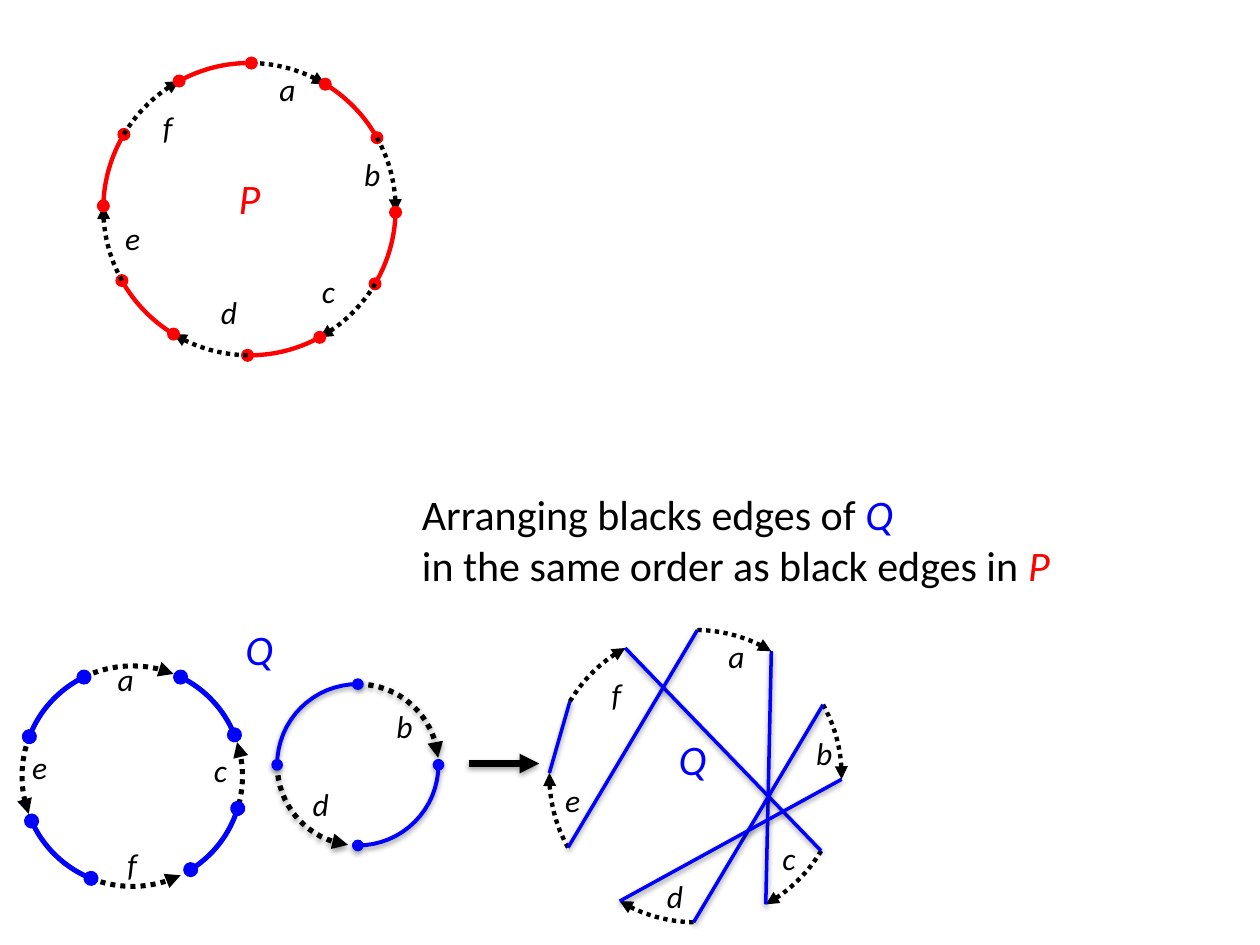
import math
from dataclasses import dataclass

import lxml.etree
import pptx
import pptx.dml.color
import pptx.enum.dml
import pptx.enum.shapes
import pptx.enum.text
import pptx.oxml.ns
import pptx.util

COLORS = {"black": "000000", "red": "FF0000", "blue": "0000FF"}
FONT = "Calibri"
WIDTH, HEIGHT = pptx.util.Inches(10), pptx.util.Inches(7.5)
UNIT = WIDTH / 100
LETTERS = "abcdef"
STEP, SWEEP = 60, 30.5


@dataclass
class Box:
    """A rectangle measured in hundredths of the slide width."""
    left: float
    top: float
    width: float
    height: float

    def at(self, across, down):
        """Return the position at shares of the box."""
        return (int((self.left + across * self.width) * UNIT),
                int((self.top + down * self.height) * UNIT))

    def on_circle(self, angle):
        """Return the position at a clockwise angle from the top."""
        turn = math.radians(angle)
        return self.at(0.5 + math.sin(turn) / 2, 0.5 - math.cos(turn) / 2)


def rgb(name):
    """Return a named colour."""
    return pptx.dml.color.RGBColor.from_string(COLORS[name])


def add_xml(parent, tag, **attributes):
    """Append a drawing element to its parent."""
    return lxml.etree.SubElement(parent, pptx.oxml.ns.qn(f"a:{tag}"), **attributes)


def style_line(shape, color="black", weight=2.5, dotted=False, head=None,
               tail=None, shadow=False):
    """Set the stroke, line ends and shadow of a shape."""
    line = shape.line
    line.color.rgb = rgb(color)
    line.width = pptx.util.Pt(weight)
    if dotted:
        line.dash_style = pptx.enum.dml.MSO_LINE.ROUND_DOT
    properties = shape._element.spPr
    stroke = properties.find(pptx.oxml.ns.qn("a:ln"))
    for tag, end in (("headEnd", head), ("tailEnd", tail)):
        if end:
            add_xml(stroke, tag, type=end)
    effects = add_xml(properties, "effectLst")
    if shadow:
        outer = add_xml(effects, "outerShdw", blurRad="40000", dist="20000",
                        dir="5400000", rotWithShape="0")
        shade = add_xml(outer, "srgbClr", val=COLORS["black"])
        add_xml(shade, "alpha", val="38000")


def add_arc(page, box, start, end, **style):
    """Draw an arc of the circle inscribed in a box."""
    steps = 16
    points = [box.on_circle(start + (end - start) * step / steps)
              for step in range(steps + 1)]
    builder = page.shapes.build_freeform(*points[0])
    builder.add_line_segments(points[1:], close=False)
    arc = builder.convert_to_shape()
    arc.fill.background()
    style_line(arc, **style)


def add_black_edge(page, box, start, end, **style):
    """Draw a dotted arc with an arrowhead."""
    add_arc(page, box, start, end, dotted=True, tail="triangle", **style)


def add_colored_edge(page, box, start, end, **style):
    """Draw a solid arc with a dot at each end."""
    add_arc(page, box, start, end, head="oval", tail="oval", **style)


def add_line(page, start, end, **style):
    """Draw a straight line with a shadow."""
    line = page.shapes.add_connector(
        pptx.enum.shapes.MSO_CONNECTOR.STRAIGHT, *start, *end)
    style_line(line, shadow=True, **style)


def write_text(para, text, size=18, color="black", italic=True):
    """Add a formatted span to a paragraph."""
    span = para.add_run()
    span.text = text
    span.font.name = FONT
    span.font.size = pptx.util.Pt(size)
    span.font.italic = italic
    span.font.color.rgb = rgb(color)


def add_label(page, box, text, across, down, **format):
    """Centre a letter on a position given as shares of a box."""
    side = pptx.util.Inches(0.4)
    x, y = box.at(across, down)
    label = page.shapes.add_textbox(x - side // 2, y - side // 2, side, side)
    frame = label.text_frame
    frame.word_wrap = False
    frame.vertical_anchor = pptx.enum.text.MSO_ANCHOR.MIDDLE
    frame.margin_left = frame.margin_right = 0
    frame.margin_top = frame.margin_bottom = 0
    para = frame.paragraphs[0]
    para.alignment = pptx.enum.text.PP_ALIGN.CENTER
    write_text(para, text, **format)


def add_labels(page, box, places):
    """Place one letter for each named position."""
    for text, (across, down) in places.items():
        add_label(page, box, text, across, down)


def edge_angles(letter):
    """Return the start and end angles of a black edge."""
    start = LETTERS.index(letter) * STEP + 0.75
    return start, start + SWEEP


def draw_genome_p(page, box):
    """Draw the alternating cycle of P."""
    for letter in LETTERS:
        start, end = edge_angles(letter)
        add_black_edge(page, box, start, end)
        add_colored_edge(page, box, end, start + STEP, color="red")
    add_labels(page, box, {
        "a": (0.63, 0.09), "b": (0.92, 0.38), "c": (0.77, 0.78),
        "d": (0.43, 0.85), "e": (0.1, 0.6), "f": (0.22, 0.22)})
    add_label(page, box, "P", 0.5, 0.46, size=24, color="red")


def draw_large_cycle(page, box):
    """Draw the four-edge cycle of Q."""
    for start, end in ((334, 382), (291, 250), (202, 154), (110, 72)):
        add_black_edge(page, box, start, end, weight=2.9)
    for start, end in ((26, 68), (107, 148), (202, 246), (291, 334)):
        add_colored_edge(page, box, start, end, color="blue", weight=2.9)
    add_labels(page, box, {
        "a": (0.47, 0.06), "c": (0.9, 0.47), "e": (0.08, 0.46), "f": (0.5, 0.9)})


def draw_small_cycle(page, box):
    """Draw the two-edge cycle of Q and its name."""
    for start, end in ((0, 85), (270, 187)):
        add_black_edge(page, box, start, end, weight=3, shadow=True)
    for start, end in ((270, 360), (90, 180)):
        add_colored_edge(page, box, start, end, color="blue", weight=2.25,
                         shadow=True)
    add_labels(page, box, {"b": (0.79, 0.26), "d": (0.27, 0.74)})
    add_label(page, box, "Q", -0.11, -0.22, size=24, color="blue")


def draw_rearranged_q(page, box):
    """Draw the black edges of Q in the order of P, joined by blue chords."""
    for letter in LETTERS:
        add_black_edge(page, box, *edge_angles(letter))
    add_labels(page, box, {
        "a": (0.64, 0.09), "b": (0.94, 0.42), "c": (0.82, 0.78),
        "d": (0.43, 0.91), "e": (0.08, 0.58), "f": (0.23, 0.22)})
    tail, tip = 0, 1
    chords = (("a", tip, "c", tip), ("c", tail, "f", tip), ("f", tail, "e", tip),
              ("a", tail, "e", tail), ("b", tail, "d", tail), ("b", tip, "d", tip))
    for first, first_end, second, second_end in chords:
        add_line(page, box.on_circle(edge_angles(first)[first_end]),
                 box.on_circle(edge_angles(second)[second_end]),
                 color="blue", weight=2)
    add_label(page, box, "Q", 0.49, 0.44, size=24, color="blue")


def draw_caption(page, box):
    """Write the two-line explanation."""
    left, top = box.at(0, 0)
    right, bottom = box.at(1, 1)
    caption = page.shapes.add_textbox(left, top, right - left, bottom - top)
    frame = caption.text_frame
    frame.word_wrap = False
    lines = (("Arranging blacks edges of ", "Q", "blue"),
             ("in the same order as black edges in ", "P", "red"))
    for index, (text, name, color) in enumerate(lines):
        para = frame.add_paragraph() if index else frame.paragraphs[0]
        write_text(para, text, size=24, italic=False)
        write_text(para, name, size=24, color=color)


def draw_arrow(page, box):
    """Draw the arrow between both arrangements of Q."""
    add_line(page, box.at(0, 0.5), box.at(1, 0.5), weight=3.75, tail="triangle")


def main():
    """Build the slide and save the deck."""
    deck = pptx.Presentation()
    deck.slide_width, deck.slide_height = WIDTH, HEIGHT
    page = deck.slides.add_slide(deck.slide_layouts[6])
    draw_small_cycle(page, Box(22, 54.3, 12.8, 12.8))
    draw_large_cycle(page, Box(1.75, 52.85, 17.5, 17.5))
    draw_genome_p(page, Box(8.2, 5, 23.2, 23.2))
    draw_rearranged_q(page, Box(43.6, 50, 23.2, 23.2))
    draw_arrow(page, Box(37.2, 59.6, 5.6, 2))
    draw_caption(page, Box(32.5, 38.3, 53.1, 9.1))
    deck.save("out.pptx")


if __name__ == "__main__":
    main()
